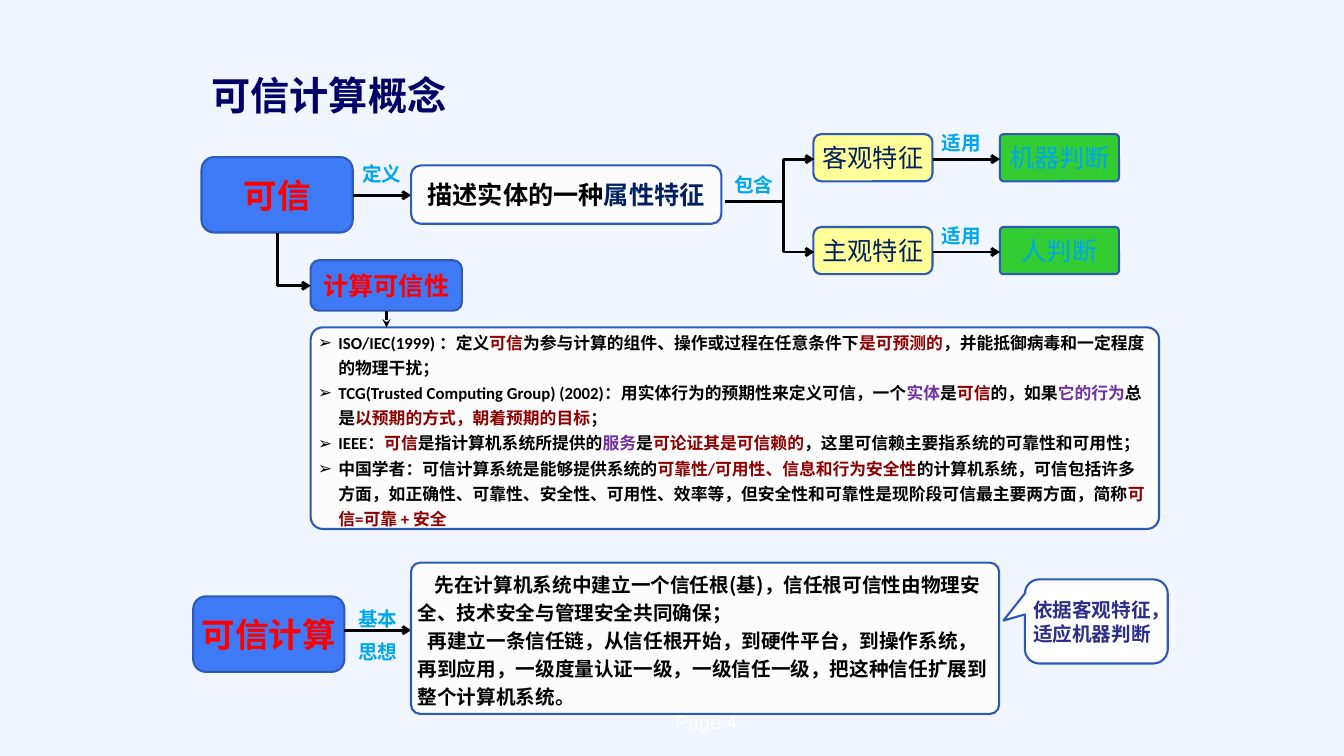
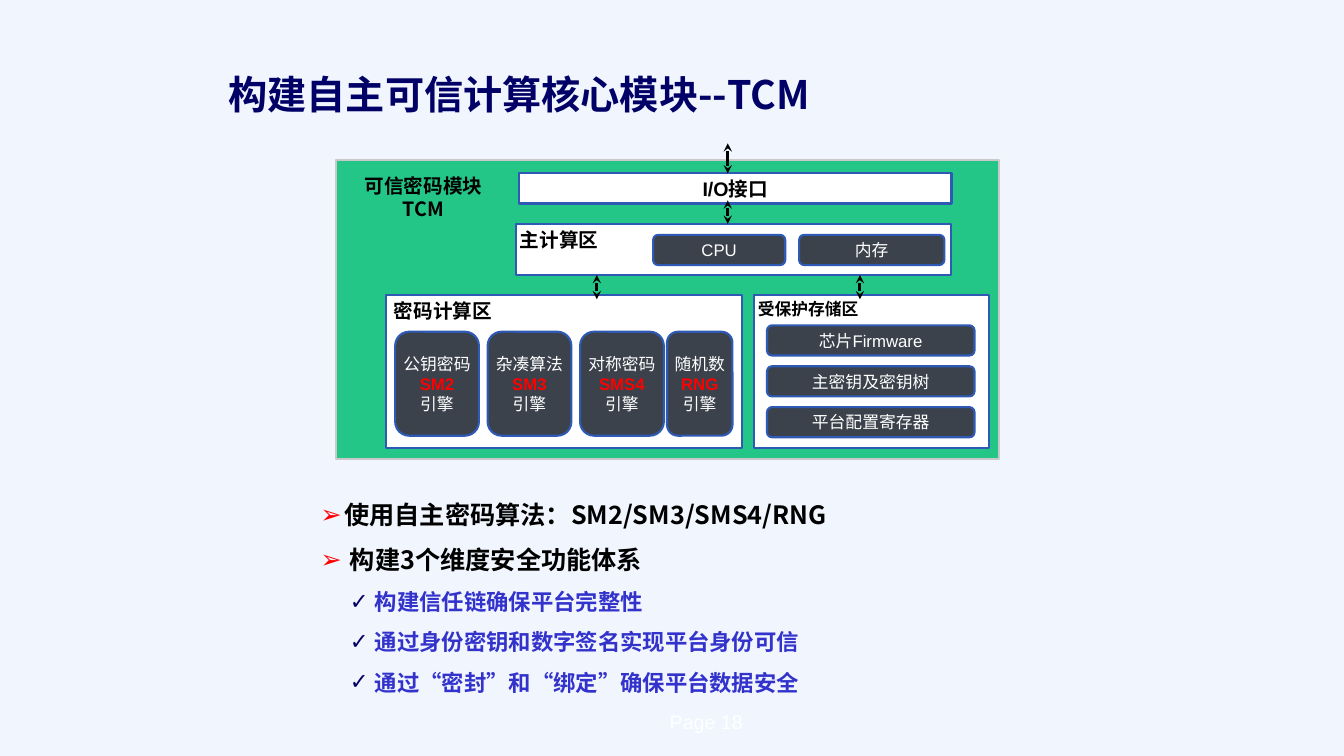
"""Build two slides on trusted computing and its cryptographic module."""
from dataclasses import dataclass, replace

from lxml.etree import SubElement as Sub
from pptx import Presentation
from pptx.dml.color import RGBColor as RGB
from pptx.enum.shapes import MSO_CONNECTOR as Link, MSO_SHAPE as Kind
from pptx.enum.text import MSO_ANCHOR as Anchor, PP_ALIGN as Align
from pptx.oxml.ns import qn
from pptx.util import Cm, Pt

PAPER = RGB(0xF0, 0xF5, 0xFE)
WHITE = RGB(0xFF, 0xFF, 0xFF)
BLACK = RGB(0, 0, 0)
NAVY = RGB(0, 0, 0x66)
DEEP = RGB(0, 0x20, 0x60)
INDIGO = RGB(0x2D, 0x2D, 0x8A)
VIOLET = RGB(0x33, 0x33, 0xCC)
PURPLE = RGB(0x70, 0x30, 0xA0)
RED = RGB(0xFF, 0, 0)
MAROON = RGB(0x8E, 0, 0)
SKY = RGB(0, 0xA6, 0xEE)
EDGE = RGB(0x2E, 0x5A, 0xB6)
BLUE = RGB(0x3E, 0x7A, 0xF6)
CREAM = RGB(0xFF, 0xFF, 0x99)
GREEN = RGB(0x33, 0xCC, 0x33)
JADE = RGB(0x24, 0xC6, 0x88)
SLATE = RGB(0x3B, 0x42, 0x4B)
PALE = RGB(0xFC, 0xFC, 0xFC)
GREY = RGB(0xC9, 0xC9, 0xC9)

SC = "Noto Sans CJK SC"
JP = "Noto Sans CJK JP"


@dataclass(frozen=True)
class Style:
    """Look of one paragraph; margin and indent are in centimetres."""
    size: int
    color: RGB
    font: str = "Arial"
    bold: bool = False
    align: Align = Align.CENTER
    lead: object = None
    margin: float = 0
    indent: float = 0
    mark: str = ""
    tint: RGB = None


TITLE = Style(28, NAVY, SC, True, Align.LEFT, Pt(32))
PAGE = Style(14, WHITE)
LABEL = Style(14, SKY, bold=True)
HEAD = Style(24, RED, JP, True)
SUBJECT = replace(HEAD, size=18)
TRAIT = Style(18, DEEP, JP)
JUDGE = replace(TRAIT, color=SKY)
ATTR = Style(18, BLACK, JP, True)
POINT = Style(12, BLACK, "Calibri", True, Align.LEFT, Pt(18), 0.51, -0.51, "➢")
IDEA = Style(14, BLACK, SC, True, Align.LEFT, Pt(20))
NOTE = Style(14, INDIGO, SC, True, Align.LEFT)
ZONE = Style(14, BLACK, bold=True, align=Align.LEFT)
PORT = replace(ZONE, align=Align.CENTER)
BOARD = replace(PORT, font=SC)
CHIP = Style(12, WHITE)
ENGINE = replace(CHIP, color=RED, bold=True)
GOAL = Style(18, BLACK, SC, True, Align.LEFT, 1.5, 0.74, -0.74, "➢", RED)
STEP = replace(GOAL, size=16, color=VIOLET, margin=1.37, indent=-0.63,
               mark="✓", tint=NAVY)

POINTS = [
    [("ISO/IEC(1999) ：定义", None), ("可信", MAROON),
     ("为参与计算的组件、操作或过程在任意条件下", None),
     ("是可预测的", MAROON),
     ("，并能抵御病毒和一定程度的物理干扰；", None)],
    [("TCG(Trusted Computing Group) (2002)：用实体行为的预期性来定义可信，一个", None),
     ("实体", PURPLE), ("是", None), ("可信", MAROON), ("的，如果", None),
     ("它的行为", PURPLE), ("总是", None),
     ("以预期的方式，朝着预期的目标", MAROON), ("；", None)],
    [("IEEE：", None), ("可信", MAROON), ("是指计算机系统所提供的", None),
     ("服务", PURPLE), ("是", None), ("可论证其是可信赖的", MAROON),
     ("，这里可信赖主要指系统的可靠性和可用性；", None)],
    [("中国学者：可信计算系统是能够提供系统的", None),
     ("可靠性/可用性、信息和行为安全性", MAROON),
     ("的计算机系统，可信包括许多方面，如正确性、可靠性、安全性、可用性、效率等，"
      "但安全性和可靠性是现阶段可信最主要两方面，简称", None),
     ("可信=可靠 + 安全", MAROON)],
]
IDEAS = [
    ("先在计算机系统中建立一个信任根(基)，信任根可信性由物理安全、"
     "技术安全与管理安全共同确保；", replace(IDEA, indent=0.43)),
    ("再建立一条信任链，从信任根开始，到硬件平台，到操作系统，再到应用，"
     "一级度量认证一级，一级信任一级，把这种信任扩展到整个计算机系统。",
     replace(IDEA, indent=0.25)),
]
GOALS = [
    ("使用自主密码算法：SM2/SM3/SMS4/RNG",
     replace(GOAL, margin=0.6, indent=-0.6)),
    ("构建3个维度安全功能体系", GOAL),
    ("构建信任链确保平台完整性", STEP),
    ("通过身份密钥和数字签名实现平台身份可信", STEP),
    ("通过“密封”和“绑定”确保平台数据安全", STEP),
]


def dress(para, style):
    """Apply a style to a paragraph."""
    props = para._p.get_or_add_pPr()
    props.set("marL", str(Cm(style.margin)))
    props.set("indent", str(Cm(style.indent)))
    if style.tint is not None:
        clr = Sub(props, qn("a:buClr"))
        Sub(clr, qn("a:srgbClr")).set("val", str(style.tint))
    if style.mark:
        Sub(props, qn("a:buFont")).set("typeface", "Arial")
        Sub(props, qn("a:buChar")).set("char", style.mark)
    para.alignment = style.align
    if style.lead:
        para.line_spacing = style.lead
    font = para.font
    font.size = Pt(style.size)
    font.bold = style.bold
    font.color.rgb = style.color
    font.name = style.font
    asian = style.font if style.font in (SC, JP) else SC
    Sub(props.find(qn("a:defRPr")), qn("a:ea")).set("typeface", asian)


def write(shape, lines, inset=(0.1, 0.1), anchor=Anchor.MIDDLE):
    """Fill a shape with (text or coloured parts, style) paragraphs."""
    frame = shape.text_frame
    frame.word_wrap = True
    frame.vertical_anchor = anchor
    frame.margin_left = frame.margin_right = Cm(inset[0])
    frame.margin_top = frame.margin_bottom = Cm(inset[1])
    for num, (parts, style) in enumerate(lines):
        para = frame.add_paragraph() if num else frame.paragraphs[0]
        dress(para, style)
        if isinstance(parts, str):
            parts = [(parts, None)]
        for text, color in parts:
            run = para.add_run()
            run.text = text
            if color is not None:
                run.font.color.rgb = color


def label(slide, box, text, style, inset=(0, 0)):
    """Add a one-paragraph text box."""
    shape = slide.shapes.add_textbox(*map(Cm, box))
    write(shape, [(text, style)], inset)


def block(slide, box, fill, kind=Kind.ROUNDED_RECTANGLE, edge=EDGE, adj=()):
    """Add an outlined shape."""
    shape = slide.shapes.add_shape(kind, *map(Cm, box))
    shape.shadow.inherit = False
    shape.fill.solid()
    shape.fill.fore_color.rgb = fill
    shape.line.color.rgb = edge
    shape.line.width = Pt(1.5)
    for num, value in enumerate(adj):
        shape.adjustments[num] = value
    return shape


def card(slide, box, fill, text, style, adj=()):
    """Add a rounded block with one paragraph."""
    write(block(slide, box, fill, adj=adj), [(text, style)])


def zone(slide, box, text, style, left):
    """Add a white area named at its top left."""
    shape = block(slide, box, WHITE, Kind.RECTANGLE)
    write(shape, [(text, style)], (left, 0.1), Anchor.TOP)


def line(slide, start, end, tail="", head=""):
    """Draw a black line with optional arrowheads."""
    link = slide.shapes.add_connector(Link.STRAIGHT, *map(Cm, start + end))
    link.line.color.rgb = BLACK
    link.line.width = Pt(2)
    stroke = link.line._get_or_add_ln()
    for tag, kind in (("a:headEnd", head), ("a:tailEnd", tail)):
        if kind:
            Sub(stroke, qn(tag)).set("type", kind)
    Sub(link._element.spPr, qn("a:effectLst"))


def start(deck, page, title, box):
    """Add a slide with its page mark and title."""
    slide = deck.slides.add_slide(deck.slide_layouts[6])
    label(slide, (15.3, 17.88, 5, 0.61), f"Page {page}", PAGE)
    label(slide, box, title, TITLE, (0.25, 0.13))
    return slide


def concept(deck):
    """Build the slide that defines trusted computing."""
    slide = start(deck, 4, "可信计算概念", (5.08, 1.7, 7.62, 1.42))
    card(slide, (5.08, 3.96, 3.81, 1.9), BLUE, "可信", HEAD)
    label(slide, (8.89, 3.96, 1.47, 0.84), "定义", LABEL)
    line(slide, (8.89, 4.92), (10.36, 4.92), "arrow")
    attr = [("描述实体的一种", None), ("属性特征", DEEP)]
    card(slide, (10.36, 4.17, 7.82, 1.47), PALE, attr, ATTR)

    label(slide, (18.26, 4.24, 1.47, 0.84), "包含", LABEL)
    line(slide, (18.26, 5.08), (19.74, 5.08))
    line(slide, (19.74, 4.01), (19.74, 6.35))
    pairs = (("客观特征", "机器判断"), ("主观特征", "人判断"))
    for row, (trait, judge) in enumerate(pairs):
        top = 3.38 + 2.34 * row
        mid = top + 0.63
        card(slide, (20.5, top, 3, 1.19), CREAM, trait, TRAIT)
        card(slide, (25.2, top, 3, 1.19), GREEN, judge, JUDGE, (0.08,))
        label(slide, (23.5, top - 0.2, 1.47, 0.84), "适用", LABEL)
        line(slide, (19.74, mid), (20.52, mid), "arrow")
        line(slide, (23.5, mid), (25.2, mid), "arrow")

    card(slide, (7.83, 6.56, 3.81, 1.27), BLUE, "计算可信性", SUBJECT)
    line(slide, (6.99, 5.88), (6.99, 7.2))
    line(slide, (6.99, 7.2), (7.83, 7.2), "arrow")
    views = block(slide, (7.83, 8.25, 21.38, 5.08), PALE, adj=(0.06,))
    write(views, [(parts, POINT) for parts in POINTS])
    line(slide, (9.74, 7.83), (9.74, 8.25), "stealth")

    card(slide, (4.87, 15.03, 3.81, 1.9), BLUE, "可信计算", HEAD)
    line(slide, (8.68, 15.88), (10.36, 15.88), "arrow")
    label(slide, (8.89, 15.24, 1.27, 1.27), "基本思想",
          replace(LABEL, lead=Pt(24)))
    ideas = block(slide, (10.36, 14.18, 14.82, 3.81), PALE, adj=(0.06,))
    write(ideas, IDEAS)
    note = block(slide, (25.83, 14.6, 3.6, 2.12), WHITE,
                 Kind.ROUNDED_RECTANGULAR_CALLOUT, adj=(-0.65, -0.01, 0.17))
    write(note, [("依据客观特征，适应机器判断", NOTE)])


def module(deck):
    """Build the slide on the cryptographic module."""
    slide = start(deck, 18, "构建自主可信计算核心模块--TCM",
                  (5.51, 1.7, 15.24, 1.4))
    block(slide, (8.46, 4.04, 16.71, 7.52), JADE, Kind.RECTANGLE, GREY)
    label(slide, (8.81, 4.37, 3.73, 1.19), "可信密码模块TCM", BOARD)
    port = block(slide, (13.08, 4.37, 10.9, 0.76), WHITE, Kind.RECTANGLE)
    write(port, [("I/O接口", PORT)])
    zone(slide, (13, 5.64, 10.97, 1.3), "主计算区", ZONE, 0.1)
    zone(slide, (9.73, 7.44, 8.97, 3.86), "密码计算区", ZONE, 0.2)
    zone(slide, (19, 7.44, 5.92, 3.86), "受保护存储区",
         replace(ZONE, size=12), 0.1)

    for x, top, end in ((18.34, 3.61, 4.37), (18.34, 5.05, 5.64),
                        (15.04, 6.93, 7.54), (21.67, 6.93, 7.54)):
        line(slide, (x, top), (x, end), "stealth", "stealth")

    card(slide, (16.46, 5.92, 3.33, 0.76), SLATE, "CPU", CHIP)
    card(slide, (20.14, 5.92, 3.66, 0.76), SLATE, "内存", CHIP)
    stores = ("芯片Firmware", "主密钥及密钥树", "平台配置寄存器")
    for row, name in enumerate(stores):
        card(slide, (19.33, 8.2 + 1.03 * row, 5.23, 0.76), SLATE, name, CHIP)

    engines = ((9.96, 2.11, "公钥密码", "SM2"), (12.29, 2.11, "杂凑算法", "SM3"),
               (14.62, 2.11, "对称密码", "SMS4"), (16.81, 1.65, "随机数", "RNG"))
    for left, width, use, name in engines:
        shape = block(slide, (left, 8.36, width, 2.62), SLATE)
        write(shape, [(use, CHIP), (name, ENGINE), ("引擎", CHIP)], (0, 0.1))

    goals = slide.shapes.add_textbox(Cm(7.83), Cm(12.07), Cm(19.05), Cm(5.72))
    write(goals, GOALS, (0.25, 0.13), Anchor.TOP)


def main():
    """Create and save the deck."""
    deck = Presentation()
    deck.slide_width = Cm(33.87)
    deck.slide_height = Cm(19.05)
    back = deck.slide_master.background.fill
    back.solid()
    back.fore_color.rgb = PAPER
    concept(deck)
    module(deck)
    deck.save("out.pptx")


if __name__ == "__main__":
    main()
